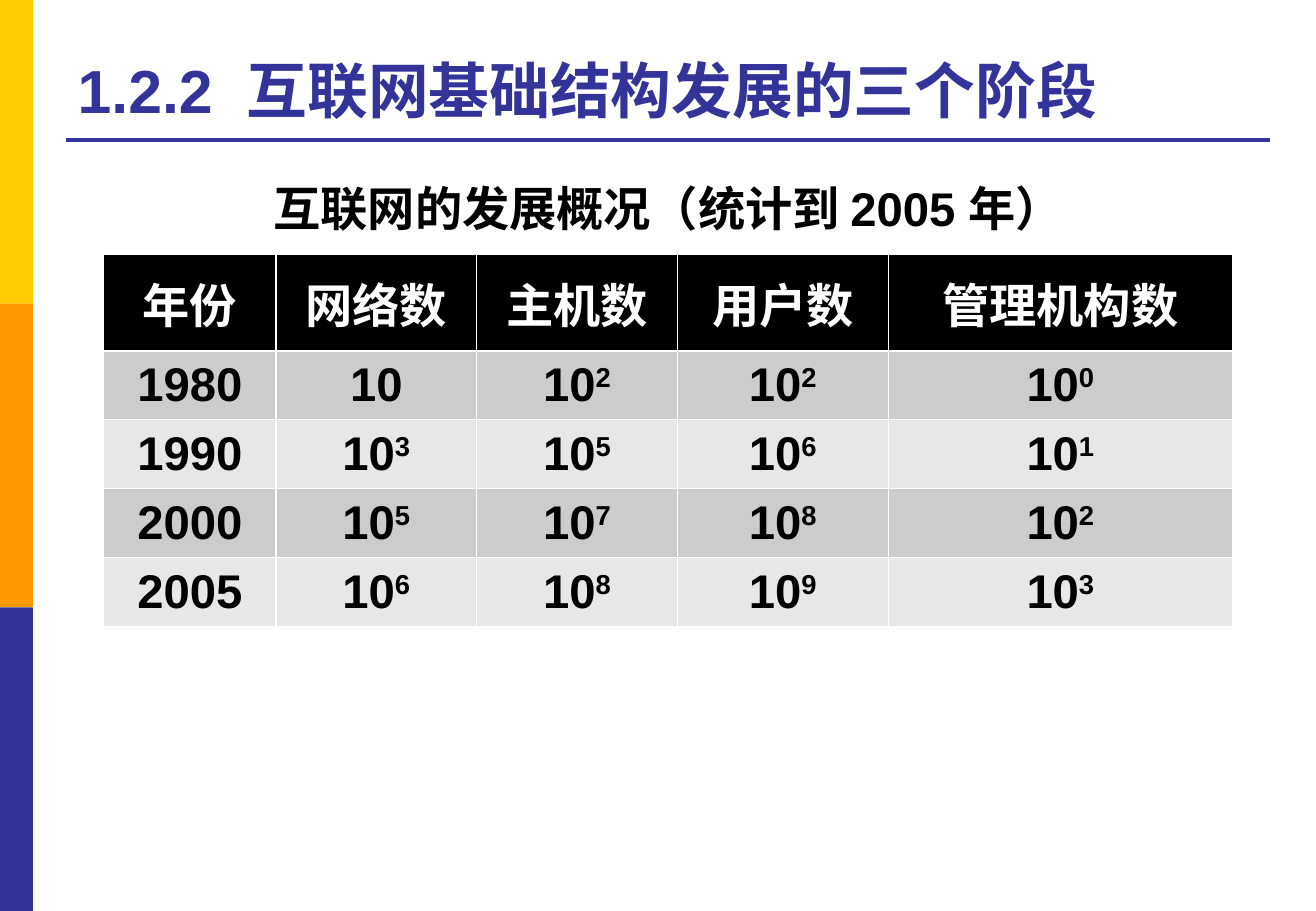
"""Build the slide on the three stages of Internet infrastructure growth."""
from dataclasses import dataclass
from typing import Any

from lxml.etree import SubElement
from pptx import Presentation
from pptx.dml.color import RGBColor as Color
from pptx.enum.shapes import MSO_CONNECTOR as Connector, MSO_SHAPE as Shape
from pptx.enum.text import MSO_ANCHOR as Anchor, PP_ALIGN as Align
from pptx.oxml.ns import qn
from pptx.util import Pt


@dataclass(frozen=True)
class Theme:
    font: str = "Arial"
    title_size: float = 36
    body_size: float = 28
    rule_width: float = 2.25
    border_width: float = 1
    yellow: str = "FFCC00"
    orange: str = "FF9900"
    indigo: str = "333399"
    black: str = "000000"
    white: str = "FFFFFF"
    bands: tuple[str, str] = ("CCCCCC", "E7E7E7")


@dataclass(frozen=True)
class Label:
    text: str
    left: float
    top: float
    width: float
    height: float
    size: float
    color: str
    align: Align
    anchor: Anchor


THEME = Theme()
PAGE_WIDTH, PAGE_HEIGHT = 780, 540
STRIPE_WIDTH, STRIPE_HEIGHT = 19.6, PAGE_HEIGHT / 3
STRIPES = (THEME.yellow, THEME.orange, THEME.indigo)
RULE_LEFT, RULE_RIGHT, RULE_TOP = 39, 753, 83
LABELS = (
    Label("1.2.2  互联网基础结构发展的三个阶段", 39, 15, 714, 63,
          THEME.title_size, THEME.indigo, Align.LEFT, Anchor.BOTTOM),
    Label("互联网的发展概况（统计到 2005 年）", 133, 102.5, 526, 41,
          THEME.body_size, THEME.black, Align.CENTER, Anchor.TOP),
)
TABLE_LEFT, TABLE_TOP = 61.5, 151
COLUMN_WIDTHS = (102, 119, 119, 125, 204)
ROW_HEIGHTS = (57, *(38.5,) * 4)
ROWS = (
    ("年份", "网络数", "主机数", "用户数", "管理机构数"),
    ("1980", "10", "10^2", "10^2", "10^0"),
    ("1990", "10^3", "10^5", "10^6", "10^1"),
    ("2000", "10^5", "10^7", "10^8", "10^2"),
    ("2005", "10^6", "10^8", "10^9", "10^3"),
)


def apply(target: Any, values: dict[str, Any]) -> None:
    """Set every named attribute on the target."""
    for name, value in values.items():
        setattr(target, name, value)


def add_span(para: Any, text: str, size: float, color: str) -> Any:
    """Add a bold run in the theme font."""
    span = para.add_run()
    span.text = text
    apply(span.font, {"name": THEME.font, "size": Pt(size), "bold": True})
    span.font.color.rgb = Color.from_string(color)
    return span


def draw_stripe(page: Any, index: int, color: str) -> None:
    """Draw one block of the left colour bar."""
    stripe = page.shapes.add_shape(
        Shape.RECTANGLE, 0, Pt(index * STRIPE_HEIGHT), Pt(STRIPE_WIDTH), Pt(STRIPE_HEIGHT))
    stripe.shadow.inherit = False
    stripe.fill.solid()
    stripe.fill.fore_color.rgb = Color.from_string(color)
    stripe.line.fill.background()


def draw_rule(page: Any) -> None:
    """Draw the line under the title."""
    rule = page.shapes.add_connector(
        Connector.STRAIGHT, Pt(RULE_LEFT), Pt(RULE_TOP), Pt(RULE_RIGHT), Pt(RULE_TOP))
    rule.line.color.rgb = Color.from_string(THEME.indigo)
    rule.line.width = Pt(THEME.rule_width)
    SubElement(rule._element.spPr, qn("a:effectLst"))


def draw_label(page: Any, label: Label) -> None:
    """Draw one line of text in its box."""
    box = page.shapes.add_textbox(
        Pt(label.left), Pt(label.top), Pt(label.width), Pt(label.height))
    apply(box.text_frame, {"word_wrap": True, "vertical_anchor": label.anchor})
    para = box.text_frame.paragraphs[0]
    para.alignment = label.align
    add_span(para, label.text, label.size, label.color)


def add_borders(cell: Any) -> None:
    """Put a white border on all four sides of a cell."""
    properties = cell._tc.get_or_add_tcPr()
    for index, side in enumerate(("lnL", "lnR", "lnT", "lnB")):
        border = properties.makeelement(
            qn(f"a:{side}"), {"w": str(Pt(THEME.border_width))})
        fill = SubElement(border, qn("a:solidFill"))
        SubElement(fill, qn("a:srgbClr"), val=THEME.white)
        properties.insert(index, border)


def fill_cell(cell: Any, text: str, fill: str, color: str) -> None:
    """Format a cell and write its value, raising any exponent."""
    cell.fill.solid()
    cell.fill.fore_color.rgb = Color.from_string(fill)
    cell.vertical_anchor = Anchor.MIDDLE
    add_borders(cell)
    para = cell.text_frame.paragraphs[0]
    para.alignment = Align.CENTER
    base, _, exponent = text.partition("^")
    add_span(para, base, THEME.body_size, color)
    if exponent:
        span = add_span(para, exponent, THEME.body_size, color)
        span._r.get_or_add_rPr().set("baseline", "30000")


def draw_table(page: Any) -> None:
    """Draw the growth table with its dark header and banded rows."""
    table = page.shapes.add_table(
        len(ROWS), len(COLUMN_WIDTHS), Pt(TABLE_LEFT), Pt(TABLE_TOP),
        Pt(sum(COLUMN_WIDTHS)), Pt(sum(ROW_HEIGHTS))).table
    table.horz_banding = False
    for column, width in zip(table.columns, COLUMN_WIDTHS):
        column.width = Pt(width)
    for index, (row, height, values) in enumerate(zip(table.rows, ROW_HEIGHTS, ROWS)):
        row.height = Pt(height)
        fill, color = ((THEME.bands[(index - 1) % 2], THEME.black) if index
                       else (THEME.black, THEME.white))
        for cell, text in zip(row.cells, values):
            fill_cell(cell, text, fill, color)


def main() -> None:
    """Assemble and save the deck."""
    deck = Presentation()
    apply(deck, {"slide_width": Pt(PAGE_WIDTH), "slide_height": Pt(PAGE_HEIGHT)})
    page = deck.slides.add_slide(deck.slide_layouts[6])
    for index, color in enumerate(STRIPES):
        draw_stripe(page, index, color)
    draw_rule(page)
    for label in LABELS:
        draw_label(page, label)
    draw_table(page)
    deck.save("out.pptx")


if __name__ == "__main__":
    main()
